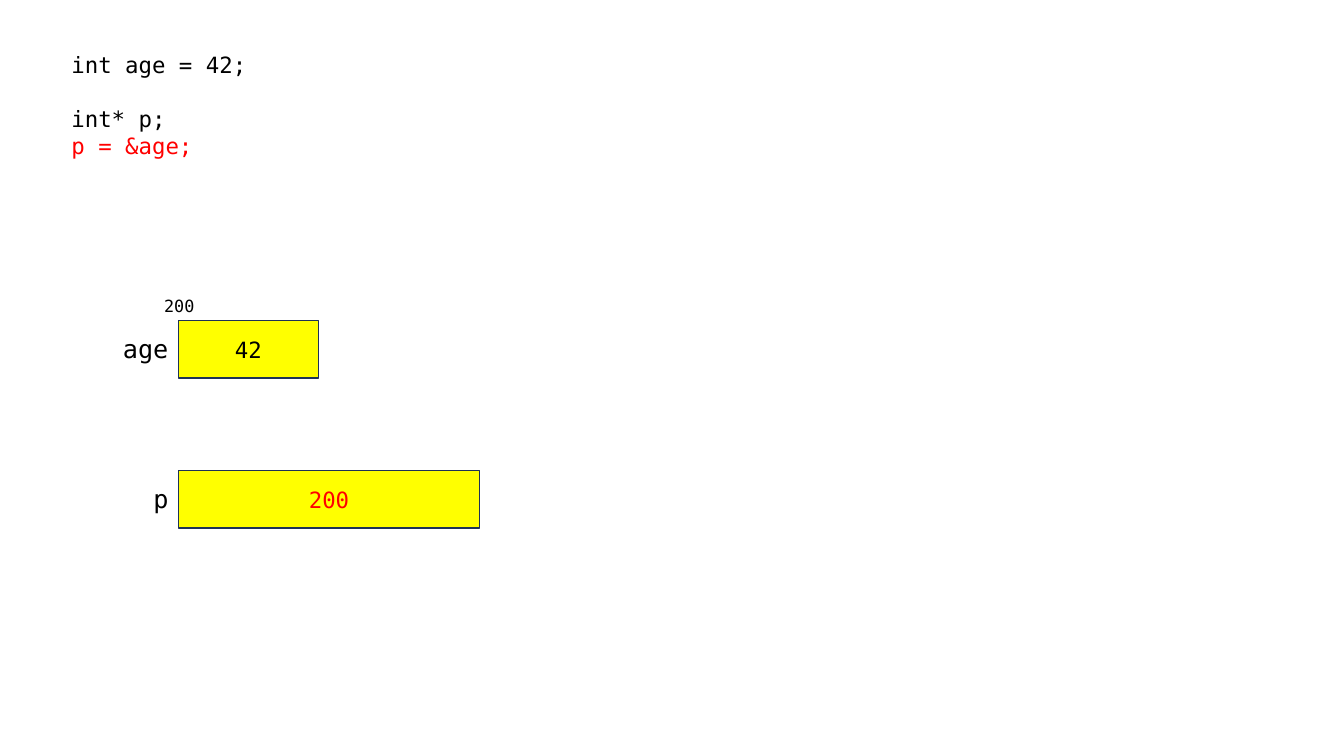
import pptx
import pptx.util
import pptx.dml.color
import pptx.enum.shapes
import pptx.enum.text

Pt = pptx.util.Pt
Align = pptx.enum.text.PP_ALIGN
BLACK, RED, YELLOW, NAVY = "000000", "FF0000", "FFFF00", "1E3256"


def color(value):
    return pptx.dml.color.RGBColor.from_string(value)


def write(box, lines, size, align=Align.LEFT):
    frame = box.text_frame
    frame.word_wrap = True
    for index, (text, ink, gap) in enumerate(lines):
        para = frame.add_paragraph() if index else frame.paragraphs[0]
        para.text = text
        para.alignment = align
        para.space_before = Pt(gap)
        para.font.name = "DejaVu Sans Mono"
        para.font.size = Pt(size)
        para.font.color.rgb = color(ink)


deck = pptx.Presentation()
deck.slide_width, deck.slide_height = Pt(960), Pt(540)
page = deck.slides.add_slide(deck.slide_layouts[6])

code = page.shapes.add_textbox(Pt(43.9), Pt(33.1), Pt(480), Pt(85))
write(code, [("int age = 42;", BLACK, 0),
             ("int* p;", BLACK, 19.3),
             ("p = &age;", RED, 0)], 16)

cell_left = 127.4
variables = [("age", "42", BLACK, 229, 100.1),
             ("p", "200", RED, 336.2, 215.3)]
for name, value, ink, top, width in variables:
    cell = page.shapes.add_shape(pptx.enum.shapes.MSO_SHAPE.RECTANGLE,
                                 Pt(cell_left), Pt(top), Pt(width), Pt(41))
    cell.shadow.inherit = False
    cell.fill.solid()
    cell.fill.fore_color.rgb = color(YELLOW)
    cell.line.color.rgb = color(NAVY)
    cell.line.width = Pt(1)
    cell.text_frame.vertical_anchor = pptx.enum.text.MSO_ANCHOR.MIDDLE
    write(cell, [(value, ink, 0)], 16, Align.CENTER)

    label = page.shapes.add_textbox(Pt(cell_left - 57.6), Pt(top + 5.8), Pt(57.6), Pt(29))
    write(label, [(name, BLACK, 0)], 18, Align.RIGHT)

address = page.shapes.add_textbox(Pt(110.2), Pt(207.4), Pt(56), Pt(21.6))
write(address, [("200", BLACK, 0)], 12)

deck.save("out.pptx")
